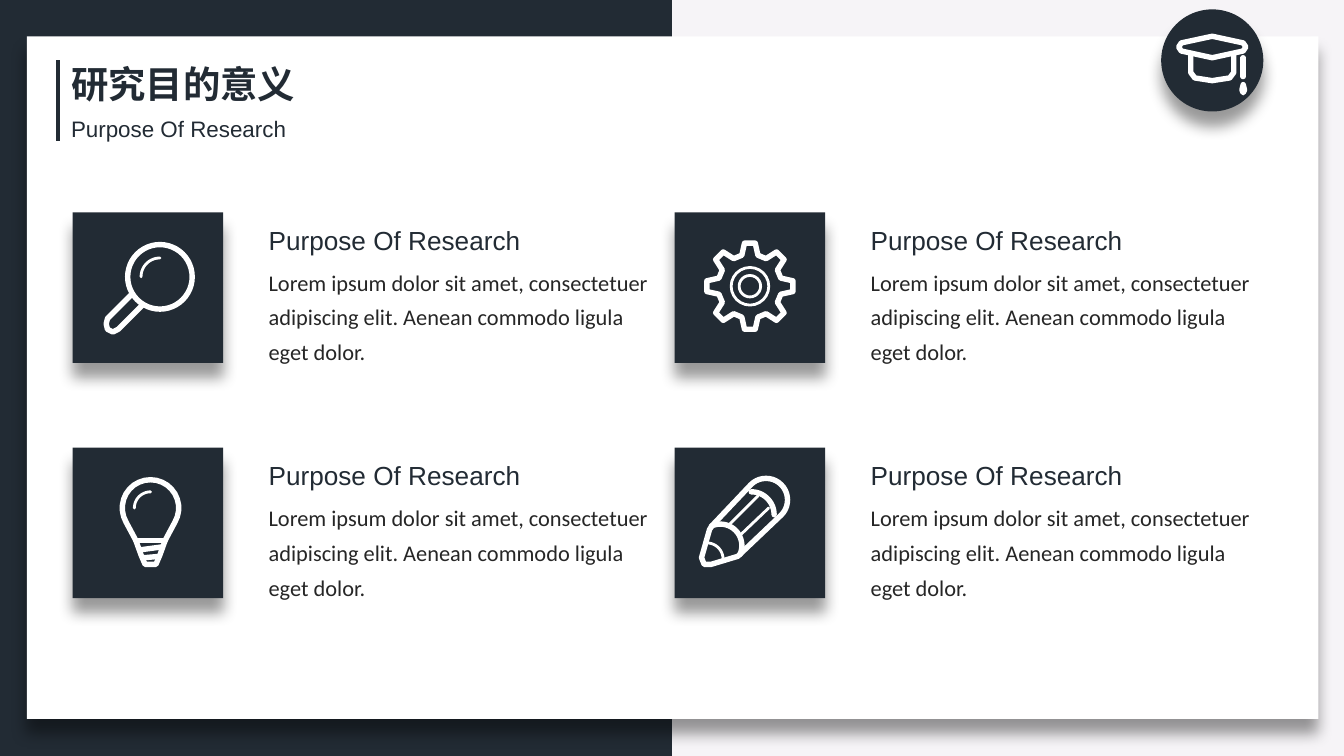
import math
from lxml import etree
from pptx import Presentation, util as u
from pptx.dml.color import RGBColor
from pptx.enum import shapes, text
from pptx.oxml import ns

COLORS = {"navy": "222B34", "paper": "FFFFFF", "backdrop": "F6F4F7", "body": "262626"}
TITLE, SUBTITLE = "研究目的意义", "Purpose Of Research"
LOREM = ("Lorem ipsum dolor sit amet, consectetuer adipiscing elit. "
         "Aenean commodo ligula eget dolor.")
TOPICS = [  # icon, heading, body: left to right, then down
    ("magnifier", "Purpose Of Research", LOREM),
    ("gear", "Purpose Of Research", LOREM),
    ("bulb", "Purpose Of Research", LOREM),
    ("pencil", "Purpose Of Research", LOREM),
]
WIDTH = 10
HEIGHT = WIDTH * 9 / 16
COLUMNS = 2
GRID_LEFT, GRID_TOP, COLUMN_PITCH, ROW_PITCH, TILE = 0.54, 1.58, 4.48, 1.75, 1.12
BOLD, FINE = 2.9, 1.5


def arc(cx, cy, radius, start, end, steps=20):
    """Return points along an arc, in clockwise degrees from the right."""
    angles = [math.radians(start + (end - start) * i / steps) for i in range(steps + 1)]
    return [(cx + radius * math.cos(a), cy + radius * math.sin(a)) for a in angles]


def gear_outline(cx, cy, teeth=8):
    """Return the outline of a gear by turning one tooth around its centre."""
    tooth = [(-0.06, -0.23), (-0.04, -0.32), (0.04, -0.32), (0.06, -0.23)]
    turns = [2 * math.pi * i / teeth for i in range(teeth)]
    return [(cx + x * math.cos(a) - y * math.sin(a), cy + x * math.sin(a) + y * math.cos(a))
            for a in turns for x, y in tooth]


# Each stroke: points from the icon's corner, closed or not, weight
STROKES = {
    "cap": [
        ([(.38, .2), (.61, .25), (.63, .28), (.61, .31), (.38, .36), (.15, .31),
          (.13, .28), (.15, .25)], True, BOLD),
        ([(.22, .34), (.22, .47), (.25, .51), (.38, .53), (.51, .51), (.54, .47),
          (.54, .34)], False, BOLD),
        ([(.61, .36), (.61, .5)], False, BOLD),
        ([(.61, .56), (.6, .6), (.61, .62), (.62, .6)], True, BOLD),
    ],
    "magnifier": [
        ([(.44, .61), (.26, .79), (.25, .83), (.26, .87), (.3, .89), (.34, .87),
          (.52, .69)], False, BOLD),
        (arc(.65, .48, .14, 180, 270), False, FINE),
    ],
    "gear": [(gear_outline(.56, .55), True, BOLD)],
    "bulb": [
        (arc(.58, .45, .21, 150, 390) + [(.69, .69), (.65, .8), (.62, .87), (.54, .87),
                                         (.51, .8), (.47, .69)], True, BOLD),
        (arc(.58, .45, .12, 180, 270), False, FINE),
        ([(.47, .69), (.69, .69)], False, BOLD),
        ([(.51, .76), (.66, .74)], False, BOLD),
        ([(.53, .82), (.64, .81)], False, BOLD),
    ],
    "pencil": [
        ([(.2, .82), (.26, .61), (.28, .58)] + arc(.68, .39, .16, 225, 405)
         + [(.47, .81), (.27, .87), (.22, .87)], True, BOLD),
        (arc(.57, .5, .17, 270, 360), False, BOLD),
        (arc(.34, .73, .16, 245, 385), False, BOLD),
        (arc(.24, .83, .12, 270, 360), False, FINE),
        ([(.41, .57), (.62, .36)], False, FINE),
        ([(.49, .65), (.7, .45)], False, FINE),
    ],
}
# Each ring: centre, radius, weight
RINGS = {
    "magnifier": [(.65, .48, .24, BOLD)],
    "gear": [(.56, .55, .14, FINE), (.56, .55, .08, FINE)],
}

deck = Presentation()
deck.slide_width, deck.slide_height = u.Inches(WIDTH), u.Inches(HEIGHT)
slide = deck.slides.add_slide(deck.slide_layouts[6])
slide.background.fill.solid()
slide.background.fill.fore_color.rgb = RGBColor.from_string(COLORS["backdrop"])


def add_panel(preset, left, top, width, height, color, raised=True):
    """Add a filled shape, raised on a soft shadow if asked."""
    panel = slide.shapes.add_shape(preset, *map(u.Inches, (left, top, width, height)))
    panel.shadow.inherit = False
    panel.fill.solid()
    panel.fill.fore_color.rgb = RGBColor.from_string(COLORS[color])
    panel.line.fill.background()
    if raised:
        effects = panel._element.spPr.find(ns.qn("a:effectLst"))
        shadow = etree.SubElement(effects, ns.qn("a:outerShdw"), blurRad=str(u.Pt(8)),
                                  dist=str(u.Pt(8)), dir="5400000", algn="t", rotWithShape="0")
        black = etree.SubElement(shadow, ns.qn("a:srgbClr"), val="000000")
        etree.SubElement(black, ns.qn("a:alpha"), val="40000")


def outline(part, weight):
    """Give an icon part a white, round-ended line and no fill."""
    part.shadow.inherit = False
    part.fill.background()
    part.line.color.rgb = RGBColor.from_string(COLORS["paper"])
    part.line.width = u.Pt(weight)
    ln = part._element.spPr.find(ns.qn("a:ln"))
    ln.set("cap", "rnd")
    etree.SubElement(ln, ns.qn("a:round"))


def add_icon(icon, left, top):
    """Draw the rings and strokes of an icon from its corner."""
    for cx, cy, radius, weight in RINGS.get(icon, []):
        box = (left + cx - radius, top + cy - radius, 2 * radius, 2 * radius)
        outline(slide.shapes.add_shape(shapes.MSO_SHAPE.OVAL, *map(u.Inches, box)), weight)
    for points, closed, weight in STROKES[icon]:
        start, *rest = [(u.Inches(left + x), u.Inches(top + y)) for x, y in points]
        builder = slide.shapes.build_freeform(*start)
        builder.add_line_segments(rest, close=closed)
        outline(builder.convert_to_shape(), weight)


def add_text(words, left, top, width, height, size, face="Arial", color="navy",
             bold=False, wrap=False):
    """Add a one-paragraph text box and return its paragraph."""
    box = slide.shapes.add_textbox(*map(u.Inches, (left, top, width, height)))
    box.text_frame.word_wrap = wrap
    box.text_frame.auto_size = text.MSO_AUTO_SIZE.SHAPE_TO_FIT_TEXT
    paragraph = box.text_frame.paragraphs[0]
    paragraph.text = words
    font = paragraph.font
    font.size, font.name, font.bold = u.Pt(size), face, bold
    font.color.rgb = RGBColor.from_string(COLORS[color])
    defaults = paragraph._p.pPr.find(ns.qn("a:defRPr"))
    etree.SubElement(defaults, ns.qn("a:ea"), typeface=face)
    return paragraph


RECT = shapes.MSO_SHAPE.RECTANGLE
add_panel(RECT, 0, 0, WIDTH / 2, HEIGHT, "navy", raised=False)
add_panel(RECT, 0.2, 0.27, 9.61, 5.08, "paper")

title_bar = slide.shapes.add_connector(
    shapes.MSO_CONNECTOR.STRAIGHT, *map(u.Inches, (0.43, 0.45, 0.43, 1.05)))
title_bar.line.color.rgb = RGBColor.from_string(COLORS["navy"])
title_bar.line.width = u.Pt(2.25)
etree.SubElement(title_bar._element.spPr, ns.qn("a:effectLst"))

add_panel(shapes.MSO_SHAPE.OVAL, 8.64, 0.07, 0.76, 0.76, "navy")
add_icon("cap", 8.64, 0.07)
add_text(TITLE, 0.43, 0.41, 1.88, 0.44, 20, "Noto Sans CJK SC", bold=True)
add_text(SUBTITLE, 0.43, 0.81, 1.82, 0.3, 12)

for index, (icon, heading, body) in enumerate(TOPICS):
    row, column = divmod(index, COLUMNS)
    left, top = GRID_LEFT + column * COLUMN_PITCH, GRID_TOP + row * ROW_PITCH
    add_panel(RECT, left, top, TILE, TILE, "navy")
    add_icon(icon, left, top)
    add_text(heading, left + 1.36, top + 0.04, 2.08, 0.34, 14)
    description = add_text(body, left + 1.36, top + 0.31, 3.12, 0.89, 12, "Calibri", "body",
                           wrap=True)
    description.line_spacing, description.space_before = 1.3, u.Pt(6)

deck.save("out.pptx")
